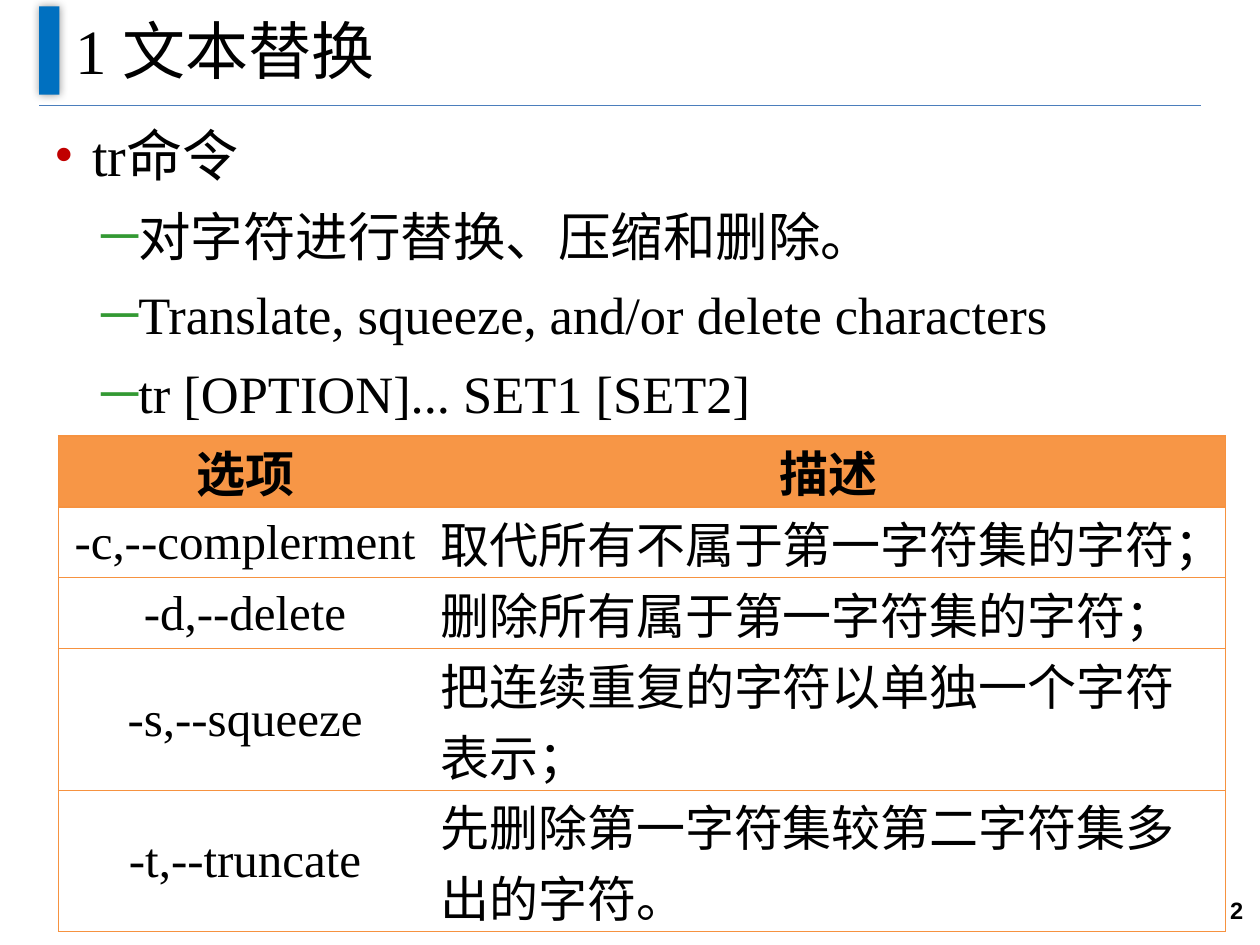
from dataclasses import dataclass
from typing import Any

from lxml import etree
from pptx import Presentation
from pptx import util as u
from pptx.dml.color import RGBColor
from pptx.enum import shapes, text
from pptx.oxml import parse_xml
from pptx.oxml.ns import nsdecls, qn

Align = text.PP_ALIGN
Anchor = text.MSO_ANCHOR


@dataclass(frozen=True)
class Theme:
    ink: str = "000000"
    bar: str = "0070C0"
    rule: str = "4B7EBC"
    dot: str = "C00000"
    dash: str = "339933"
    head: str = "F79646"
    edge: str = "F69240"
    serif: str = "Times New Roman"
    sans: str = "Arial"
    title: float = 36
    lead: float = 32
    item: float = 30
    cell: float = 28
    page: float = 13.5
    thin: float = 0.75


@dataclass(frozen=True)
class Level:
    mark: str
    color: str
    size: float
    left: float
    hang: float


@dataclass(frozen=True)
class Box:
    left: float
    top: float
    width: float
    height: float

    def cm(self) -> list[u.Cm]:
        return [u.Cm(v) for v in (self.left, self.top, self.width, self.height)]


@dataclass(frozen=True)
class Row:
    option: str
    note: str
    height: float


T = Theme()
LEAD = Level("•", T.dot, T.lead, 0.76, 0.76)
ITEM = Level("─", T.dash, T.item, 1.68, 0.74)
POINTS = [
    (LEAD, "tr命令"),
    (ITEM, "对字符进行替换、压缩和删除。"),
    (ITEM, "Translate, squeeze, and/or delete characters"),
    (ITEM, "tr [OPTION]... SET1 [SET2]"),
]
ROWS = [
    Row("选项", "描述", 1.43),
    Row("-c,--complerment", "取代所有不属于第一字符集的字符；", 1.43),
    Row("-d,--delete", "删除所有属于第一字符集的字符；", 1.43),
    Row("-s,--squeeze", "把连续重复的字符以单独一个字符表示；", 2.85),
    Row("-t,--truncate", "先删除第一字符集较第二字符集多出的字符。", 2.85),
]
COLS = [7.52, 16]


def style(item: Any, values: dict[str, Any]) -> None:
    for key, value in values.items():
        setattr(item, key, value)


def write(para: Any, words: str, size: float, face: str = T.serif, bold: bool = False) -> None:
    run = para.add_run()
    run.text = words
    style(run.font, {"size": u.Pt(size), "name": face, "bold": bold})
    run.font.color.rgb = RGBColor.from_string(T.ink)


def frame(slide: Any, box: Box, anchor: Any) -> Any:
    body = slide.shapes.add_textbox(*box.cm()).text_frame
    style(body, {"word_wrap": True, "vertical_anchor": anchor})
    return body


def bullet(para: Any, level: Level) -> None:
    props = para._p.get_or_add_pPr()
    props.set("marL", str(u.Cm(level.left)))
    props.set("indent", str(-u.Cm(level.hang)))
    tint = etree.SubElement(props, qn("a:buClr"))
    etree.SubElement(tint, qn("a:srgbClr"), val=level.color)
    etree.SubElement(props, qn("a:buFont"), typeface=T.serif)
    etree.SubElement(props, qn("a:buChar"), char=level.mark)


def draw_head(slide: Any) -> None:
    rule = slide.shapes.add_connector(
        shapes.MSO_CONNECTOR.STRAIGHT, u.Cm(0.79), u.Cm(2.13), u.Cm(24.21), u.Cm(2.13))
    rule.line.color.rgb = RGBColor.from_string(T.rule)
    rule.line.width = u.Pt(T.thin)
    etree.SubElement(rule._element.spPr, qn("a:effectLst"))

    bar = slide.shapes.add_shape(shapes.MSO_SHAPE.RECTANGLE, *Box(0.79, 0.13, 0.41, 1.78).cm())
    bar.fill.solid()
    bar.fill.fore_color.rgb = RGBColor.from_string(T.bar)
    bar.line.fill.background()
    bar.shadow.inherit = False
    glow = bar._element.spPr.find(qn("a:effectLst"))
    shade = etree.SubElement(glow, qn("a:outerShdw"), blurRad=str(u.Pt(5)), dist="0", dir="0")
    black = etree.SubElement(shade, qn("a:srgbClr"), val=T.ink)
    etree.SubElement(black, qn("a:alpha"), val="40000")

    title = frame(slide, Box(1.27, -0.08, 22.86, 2.13), Anchor.MIDDLE)
    write(title.paragraphs[0], "1 文本替换", T.title)


def draw_points(slide: Any) -> None:
    body = frame(slide, Box(0.85, 2.31, 23.32, 16.1), Anchor.TOP)
    for i, (level, words) in enumerate(POINTS):
        para = body.add_paragraph() if i else body.paragraphs[0]
        style(para, {"alignment": Align.JUSTIFY, "space_after": u.Pt(4.5)})
        if i:
            style(para, {"space_before": u.Pt(4.5), "level": 1})
        bullet(para, level)
        write(para, words, level.size)


def border(cell: Any, inner: str) -> None:
    props = cell._tc.get_or_add_tcPr()
    for i, side in enumerate(("lnL", "lnR", "lnT", "lnB")):
        paint = "<a:noFill/>" if side == inner else (
            f'<a:solidFill><a:srgbClr val="{T.edge}"/></a:solidFill>')
        props.insert(i, parse_xml(
            f'<a:{side} {nsdecls("a")} w="{u.Pt(T.thin)}">{paint}</a:{side}>'))


def draw_table(slide: Any) -> None:
    box = Box(1.18, 8.79, sum(COLS), sum(r.height for r in ROWS))
    table = slide.shapes.add_table(len(ROWS), len(COLS), *box.cm()).table
    table.horz_banding = False
    for col, width in zip(table.columns, COLS):
        col.width = u.Cm(width)
    look = {"margin_left": u.Cm(0.18), "margin_right": u.Cm(0.18), "margin_top": 0,
            "margin_bottom": 0, "vertical_anchor": Anchor.MIDDLE}
    for i, row in enumerate(ROWS):
        table.rows[i].height = u.Cm(row.height)
        for j, words in enumerate((row.option, row.note)):
            cell = table.cell(i, j)
            style(cell, look)
            if i:
                cell.fill.background()
            else:
                cell.fill.solid()
                cell.fill.fore_color.rgb = RGBColor.from_string(T.head)
            border(cell, "lnL" if j else "lnR")
            para = cell.text_frame.paragraphs[0]
            para.alignment = Align.LEFT if i and j else Align.CENTER
            write(para, words, T.cell, bold=i == 0)


def draw_page(slide: Any) -> None:
    para = frame(slide, Box(22.95, 17.65, 2.36, 1.4), Anchor.MIDDLE).paragraphs[0]
    para.alignment = Align.RIGHT
    write(para, "2", T.page, T.sans, True)


def main() -> None:
    deck = Presentation()
    style(deck, {"slide_width": u.Cm(25.4), "slide_height": u.Cm(19.05)})
    slide = deck.slides.add_slide(deck.slide_layouts[6])
    for draw in (draw_head, draw_points, draw_page, draw_table):
        draw(slide)
    deck.save("out.pptx")


if __name__ == "__main__":
    main()
